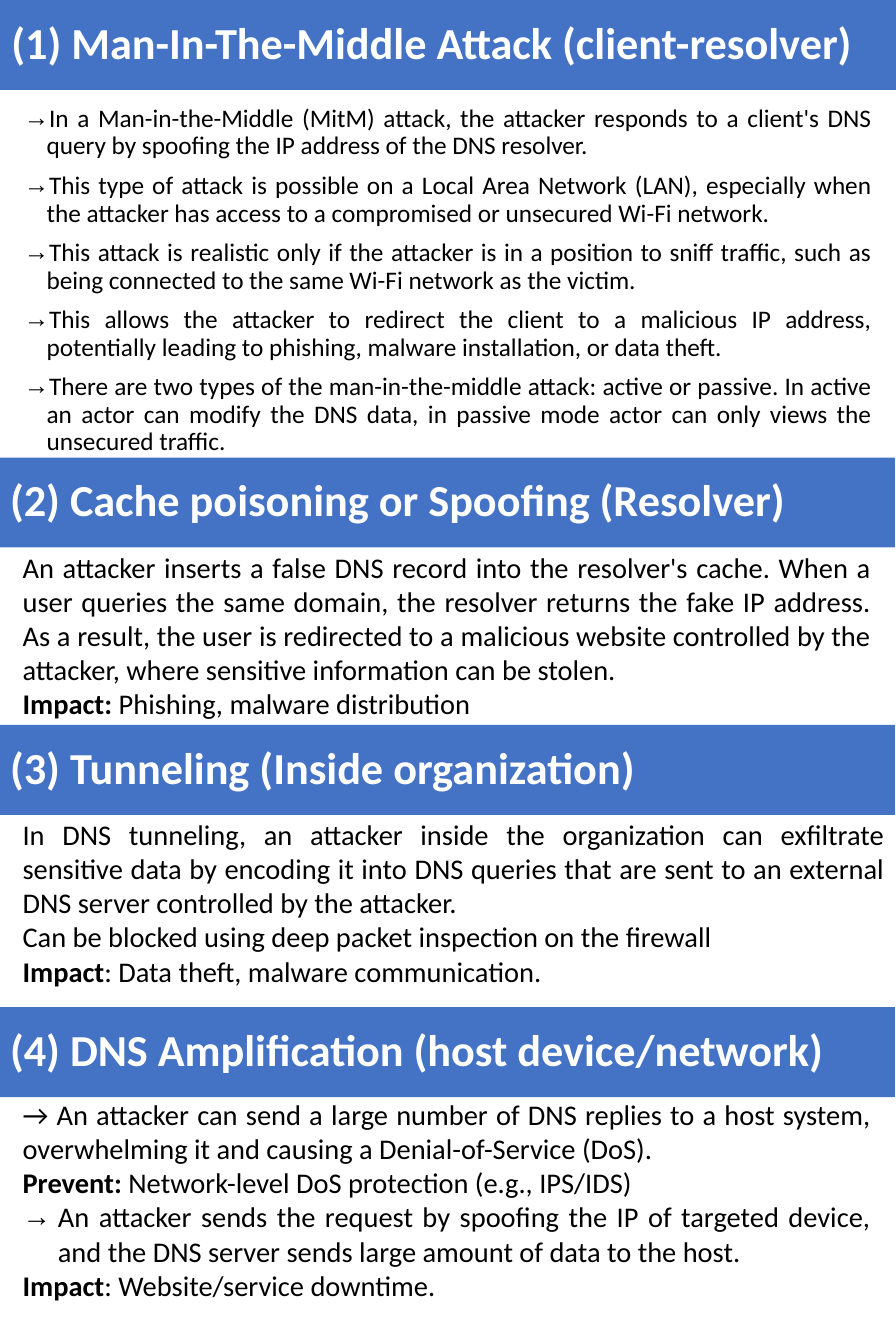
from dataclasses import dataclass

from lxml.etree import SubElement
from pptx import Presentation
from pptx.dml.color import RGBColor
from pptx.enum.shapes import MSO_SHAPE
from pptx.enum.text import MSO_ANCHOR, MSO_AUTO_SIZE, PP_ALIGN
from pptx.oxml.ns import qn
from pptx.shapes.autoshape import Shape
from pptx.slide import Slide
from pptx.text.text import TextFrame, _Paragraph
from pptx.util import Inches, Pt

BLUE = RGBColor(0x44, 0x72, 0xC4)
WHITE = RGBColor(0xFF, 0xFF, 0xFF)
BLACK = RGBColor(0x00, 0x00, 0x00)
FONT = "Calibri"
PAGE_WIDTH = 7.87
PAGE_HEIGHT = 11.81
BAR_HEIGHT = 0.79
TEXT_LEFT = 0.1


@dataclass(frozen=True)
class Para:
    text: str
    lead: str = ""
    indent: float = 0


@dataclass(frozen=True)
class Section:
    heading: str
    bar_top: float
    text_top: float
    text_width: float
    text_height: float
    paras: tuple[Para, ...]


MITM_HEADING = "(1) Man-In-The-Middle Attack (client-resolver)"
MITM_POINTS = (
    "In a Man-in-the-Middle (MitM) attack, the attacker responds to a client's DNS query "
    "by spoofing the IP address of the DNS resolver.",
    "This type of attack is possible on a Local Area Network (LAN), especially when the "
    "attacker has access to a compromised or unsecured Wi-Fi network.",
    "This attack is realistic only if the attacker is in a position to sniff traffic, such "
    "as being connected to the same Wi-Fi network as the victim.",
    "This allows the attacker to redirect the client to a malicious IP address, potentially "
    "leading to phishing, malware installation, or data theft.",
    "There are two types of the man-in-the-middle attack: active or passive. In active an "
    "actor can modify the DNS data, in passive mode actor can only views the unsecured traffic.",
)

SECTIONS = (
    Section("(2) Cache poisoning or Spoofing (Resolver)", 4.02, 4.78, 7.65, 1.62, (
        Para("An attacker inserts a false DNS record into the resolver's cache. When a user "
             "queries the same domain, the resolver returns the fake IP address. As a result, "
             "the user is redirected to a malicious website controlled by the attacker, where "
             "sensitive information can be stolen."),
        Para(" Phishing, malware distribution", lead="Impact:"),
    )),
    Section("(3) Tunneling (Inside organization)", 6.37, 7.13, 7.77, 1.92, (
        Para("In DNS tunneling, an attacker inside the organization can exfiltrate sensitive "
             "data by encoding it into DNS queries that are sent to an external DNS server "
             "controlled by the attacker."),
        Para("Can be blocked using deep packet inspection on the firewall"),
        Para(": Data theft, malware communication.", lead="Impact"),
    )),
    Section("(4) DNS Amplification (host device/network)", 8.85, 9.59, 7.65, 1.92, (
        Para("→ An attacker can send a large number of DNS replies to a host system, "
             "overwhelming it and causing a Denial-of-Service (DoS)."),
        Para("Network-level DoS protection (e.g., IPS/IDS)", lead="Prevent: "),
        Para("An attacker sends the request by spoofing the IP of targeted device, and the DNS "
             "server sends large amount of data to the host.", indent=0.31),
        Para(": Website/service downtime.", lead="Impact"),
    )),
)


def place(sp: Shape, left: float, top: float, width: float, height: float) -> None:
    sp.left, sp.top = Inches(left), Inches(top)
    sp.width, sp.height = Inches(width), Inches(height)


def add_run(p: _Paragraph, text: str, *, size: float, color: RGBColor = BLACK,
            bold: bool = False) -> None:
    r = p.add_run()
    r.text = text
    r.font.name = FONT
    r.font.size = Pt(size)
    r.font.bold = bold
    r.font.color.rgb = color


def add_arrow_bullet(p: _Paragraph, indent: float) -> None:
    pPr = p._p.get_or_add_pPr()
    pPr.set("marL", str(Inches(indent)))
    pPr.set("indent", str(-Inches(indent)))
    SubElement(pPr, qn("a:buFont")).set("typeface", "Arial")
    SubElement(pPr, qn("a:buChar")).set("char", "→")


def write_paras(tf: TextFrame, paras: tuple[Para, ...], *, size: float,
                line_spacing: float = 1.0, gap: float = 0) -> None:
    tf.word_wrap = True
    for i, para in enumerate(paras):
        p = tf.add_paragraph() if i else tf.paragraphs[0]
        if para.indent:
            add_arrow_bullet(p, para.indent)
        p.alignment = PP_ALIGN.JUSTIFY
        p.line_spacing = line_spacing
        p.space_before = Pt(gap if i else 0)
        if para.lead:
            add_run(p, para.lead, size=size, bold=True)
        add_run(p, para.text, size=size)


def format_bar(sp: Shape, heading: str) -> None:
    sp.fill.solid()
    sp.fill.fore_color.rgb = BLUE
    sp.line.fill.background()
    tf = sp.text_frame
    tf.word_wrap = True
    tf.auto_size = MSO_AUTO_SIZE.NONE
    tf.vertical_anchor = MSO_ANCHOR.MIDDLE
    p = tf.paragraphs[0]
    p.alignment = PP_ALIGN.LEFT
    p.line_spacing = 0.9
    add_run(p, heading, size=28, color=WHITE, bold=True)


def add_section(s: Slide, section: Section) -> None:
    bar = s.shapes.add_shape(MSO_SHAPE.RECTANGLE, Inches(-0.01), Inches(section.bar_top),
                             Inches(PAGE_WIDTH), Inches(BAR_HEIGHT))
    bar.shadow.inherit = False
    format_bar(bar, section.heading)
    box = s.shapes.add_textbox(Inches(TEXT_LEFT), Inches(section.text_top),
                               Inches(section.text_width), Inches(section.text_height))
    box.text_frame.auto_size = MSO_AUTO_SIZE.SHAPE_TO_FIT_TEXT
    write_paras(box.text_frame, section.paras, size=18)


def main() -> None:
    prs = Presentation()
    prs.slide_width, prs.slide_height = Inches(PAGE_WIDTH), Inches(PAGE_HEIGHT)
    s = prs.slides.add_slide(prs.slide_layouts[1])

    title, body = s.shapes.title, s.placeholders[1]
    place(title, 0, 0, PAGE_WIDTH, BAR_HEIGHT)
    format_bar(title, MITM_HEADING)
    place(body, 0.11, 0.88, 7.65, 3.26)
    body.text_frame.auto_size = MSO_AUTO_SIZE.NONE
    points = tuple(Para(text, indent=0.2) for text in MITM_POINTS)
    write_paras(body.text_frame, points, size=16, line_spacing=0.9, gap=7.9)

    for section in SECTIONS:
        add_section(s, section)
    prs.save("out.pptx")


if __name__ == "__main__":
    main()
